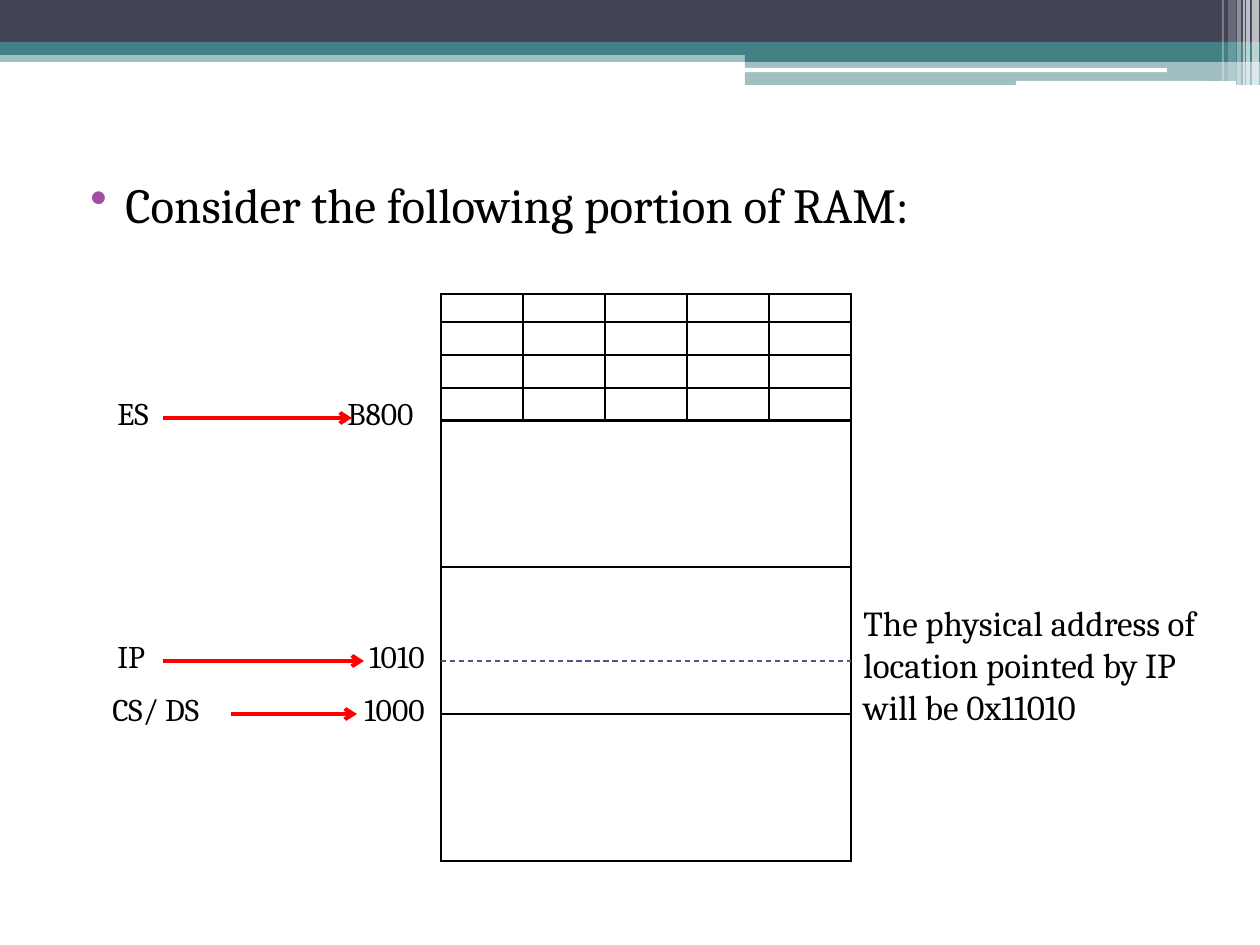
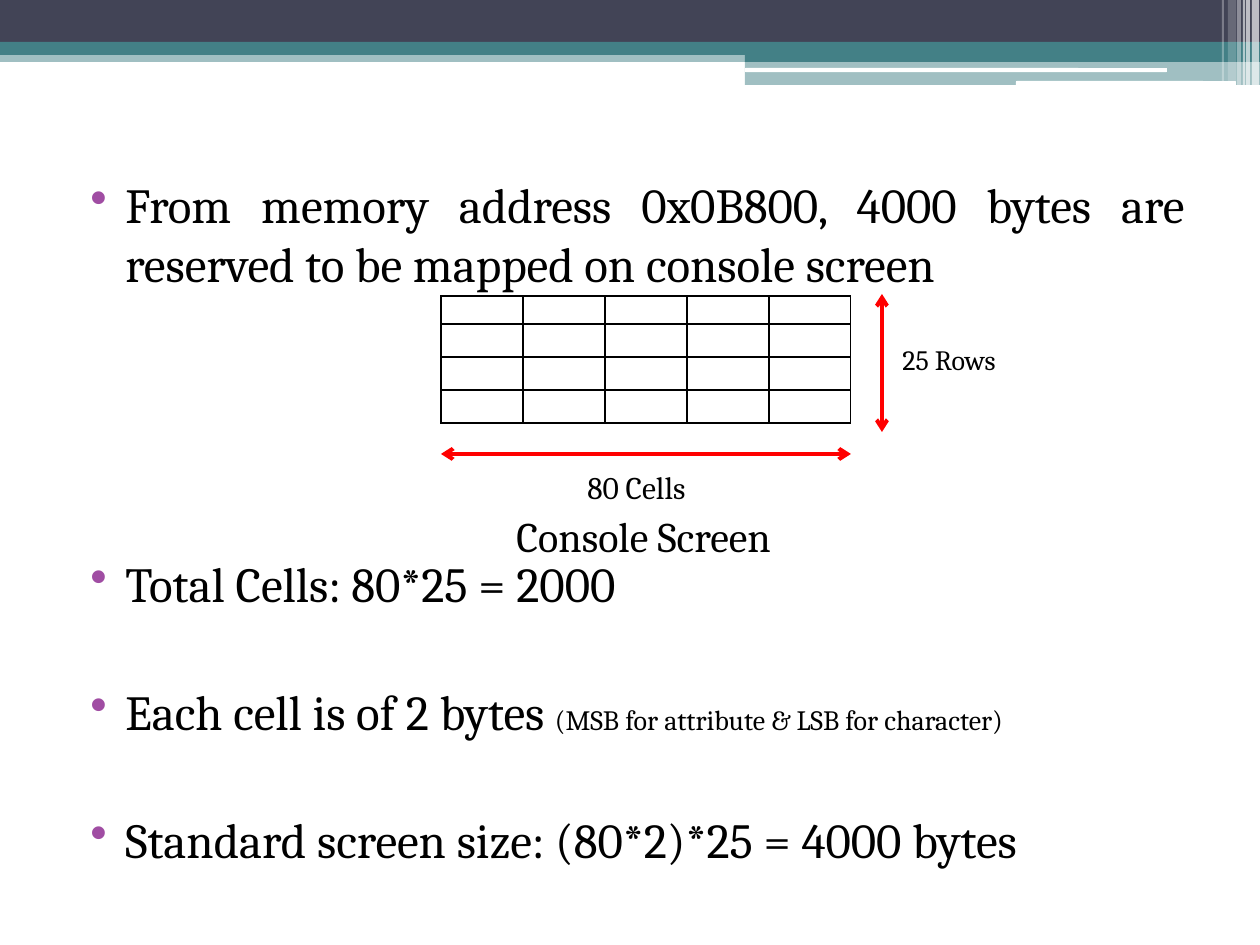
from lxml.etree import SubElement as Sub
from pptx import Presentation
from pptx.dml.color import RGBColor
from pptx.enum.dml import MSO_LINE as Dash
from pptx.enum.shapes import MSO_CONNECTOR as Link, MSO_SHAPE as Kind
from pptx.enum.text import PP_ALIGN as Align
from pptx.oxml.ns import qn
from pptx.util import Pt

SCALE = 914400 // 126
BLACK, WHITE, RED = "000000", "FFFFFF", "FF0000"
NAVY, TEAL, PURPLE, SLATE = "424456", "438086", "A04DA3", "53548A"
BANDS = [
    (0, 50, 1260, 12, TEAL, 50),
    (0, 0, 1260, 42, NAVY, 100),
    (0, 42, 1260, 13, TEAL, 100),
    (745, 49, 515, 13, TEAL, 100),
    (745, 61, 515, 24, TEAL, 50),
]
PILLS = [(745, 68, 422, 4), (1016, 81, 220, 5)]
STRIPES = [
    (1252, 7, 85, 65),
    (1246, 4, 85, 65),
    (1243, 2, 85, 60),
    (1237, 4, 85, 40),
    (1228, 8, 81, 20),
    (1222, 2, 81, 30),
]
GRID = [28, 33, 33, 33]


def px(*sizes):
    return [round(size * SCALE) for size in sizes]


def tint(text):
    return RGBColor.from_string(text)


class Deck:
    """Holds the shared style and the slide being built."""

    font = "Cambria"

    def __init__(self):
        self.file = Presentation()
        self.file.slide_width, self.file.slide_height = px(1260, 945)

    def page(self):
        self.slide = self.file.slides.add_slide(self.file.slide_layouts[6])
        for x, y, wide, high, hue, alpha in BANDS:
            self.block(x, y, wide, high, hue, alpha)
        for box in PILLS:
            self.block(*box, WHITE, kind=Kind.ROUNDED_RECTANGLE)
        for x, wide, high, alpha in STRIPES:
            self.block(x, 0, wide, high, WHITE, alpha)

    def block(self, x, y, wide, high, hue, alpha=100, kind=Kind.RECTANGLE):
        shape = self.slide.shapes.add_shape(kind, *px(x, y, wide, high))
        shape.shadow.inherit = False
        shape.fill.solid()
        shape.fill.fore_color.rgb = tint(hue)
        shape.line.fill.background()
        if alpha < 100:
            color = shape.fill._xPr.find(".//" + qn("a:srgbClr"))
            Sub(color, qn("a:alpha"), val=str(alpha * 1000))

    def frame(self, x, y, wide, high):
        box = self.slide.shapes.add_textbox(*px(x, y, wide, high))
        box.text_frame.word_wrap = True
        return box.text_frame

    def style(self, run, size):
        run.font.name = self.font
        run.font.size = Pt(size)
        run.font.color.rgb = tint(BLACK)

    def label(self, x, y, wide, high, text, size=18, tab=0):
        frame = self.frame(x, y, wide, high)
        frame.text = text
        para = frame.paragraphs[0]
        self.style(para.runs[0], size)
        if tab:
            stops = Sub(para._p.get_or_add_pPr(), qn("a:tabLst"))
            Sub(stops, qn("a:tab"), pos=str(px(tab)[0]), algn="l")

    def points(self, items):
        frame = self.frame(63, 168, 1134, 738)
        for index, (gap, text, note) in enumerate(items):
            para = frame.add_paragraph() if index else frame.paragraphs[0]
            para.text = text
            self.style(para.runs[0], 28)
            if note:
                run = para.add_run()
                run.text = note
                self.style(run, 16)
            para.alignment = Align.JUSTIFY
            para.space_before = Pt(gap)
            props = para._p.get_or_add_pPr()
            props.set("marL", str(px(50)[0]))
            props.set("indent", str(px(-35)[0]))
            Sub(Sub(props, qn("a:buClr")), qn("a:srgbClr"), val=PURPLE)
            Sub(props, qn("a:buChar"), char="•")

    def grid(self, x, y, cols, rows):
        shape = self.slide.shapes.add_table(
            len(rows), len(cols), *px(x, y, sum(cols), sum(rows)))
        table = shape.table
        table.first_row = table.horz_banding = False
        for col, wide in zip(table.columns, px(*cols)):
            col.width = wide
        for row, high in zip(table.rows, px(*rows)):
            row.height = high
        for cell in table.iter_cells():
            self.edge(cell)

    def edge(self, cell):
        cell.margin_left = cell.margin_right = 0
        cell.margin_top = cell.margin_bottom = 0
        props = cell._tc.get_or_add_tcPr()
        for side in "LRTB":
            line = Sub(props, qn("a:ln" + side), w=str(Pt(1)))
            Sub(Sub(line, qn("a:solidFill")), qn("a:srgbClr"), val=BLACK)
        cell.fill.background()
        Sub(cell.text_frame.paragraphs[0]._p, qn("a:endParaRPr"), sz="800")

    def line(self, x, y, right, low, hue=RED, width=2.25, ends=(), dash=None):
        link = self.slide.shapes.add_connector(
            Link.STRAIGHT, *px(x, y, right, low))
        link.line.color.rgb = tint(hue)
        link.line.width = Pt(width)
        if dash:
            link.line.dash_style = dash
        for end in ends:
            Sub(link.line._get_or_add_ln(), qn(f"a:{end}End"), type="arrow")
        Sub(link._element.spPr, qn("a:effectLst"))


deck = Deck()

deck.page()
deck.points([(3, "Consider the following portion of RAM:", "")])
deck.grid(441, 294, [410], [126] + [147] * 3)
deck.grid(441, 294, [82] * 5, GRID)
for x, y, text, tab, start, stop in [
    (100, 684, "CS/ DS\t1000", 252, 231, 357),
    (105, 631, "IP\t1010", 252, 163, 364),
    (105, 388, "ES\tB800", 230, 163, 352),
]:
    deck.label(x, y, 352, 50, text, tab=tab)
    deck.line(start, y + 30, stop, y + 30, ends=["tail"])
deck.line(441, 661, 851, 661, SLATE, 0.75, dash=Dash.DASH)
deck.label(851, 595, 388, 140,
           "The physical address of location pointed by IP will be 0x11010", 20)

deck.page()
deck.points([
    (3, "From memory address 0x0B800, 4000 bytes are reserved "
        "to be mapped on console screen", ""),
    (149.5, "Total Cells: 80*25 = 2000", ""),
    (39.5, "Each cell is of 2 bytes ",
     "(MSB for attribute & LSB for character)"),
    (39.5, "Standard screen size: (80*2)*25 = 4000 bytes", ""),
])
deck.grid(441, 296, [82] * 5, GRID)
deck.line(441, 454, 851, 454, ends=["head", "tail"])
deck.line(882, 294, 882, 432, ends=["head", "tail"])
deck.label(575, 462, 139, 50, "80 Cells")
deck.label(890, 336, 131, 47, "25 Rows", 16)
deck.label(504, 504, 311, 63, "Console Screen", 24)

deck.file.save("out.pptx")
